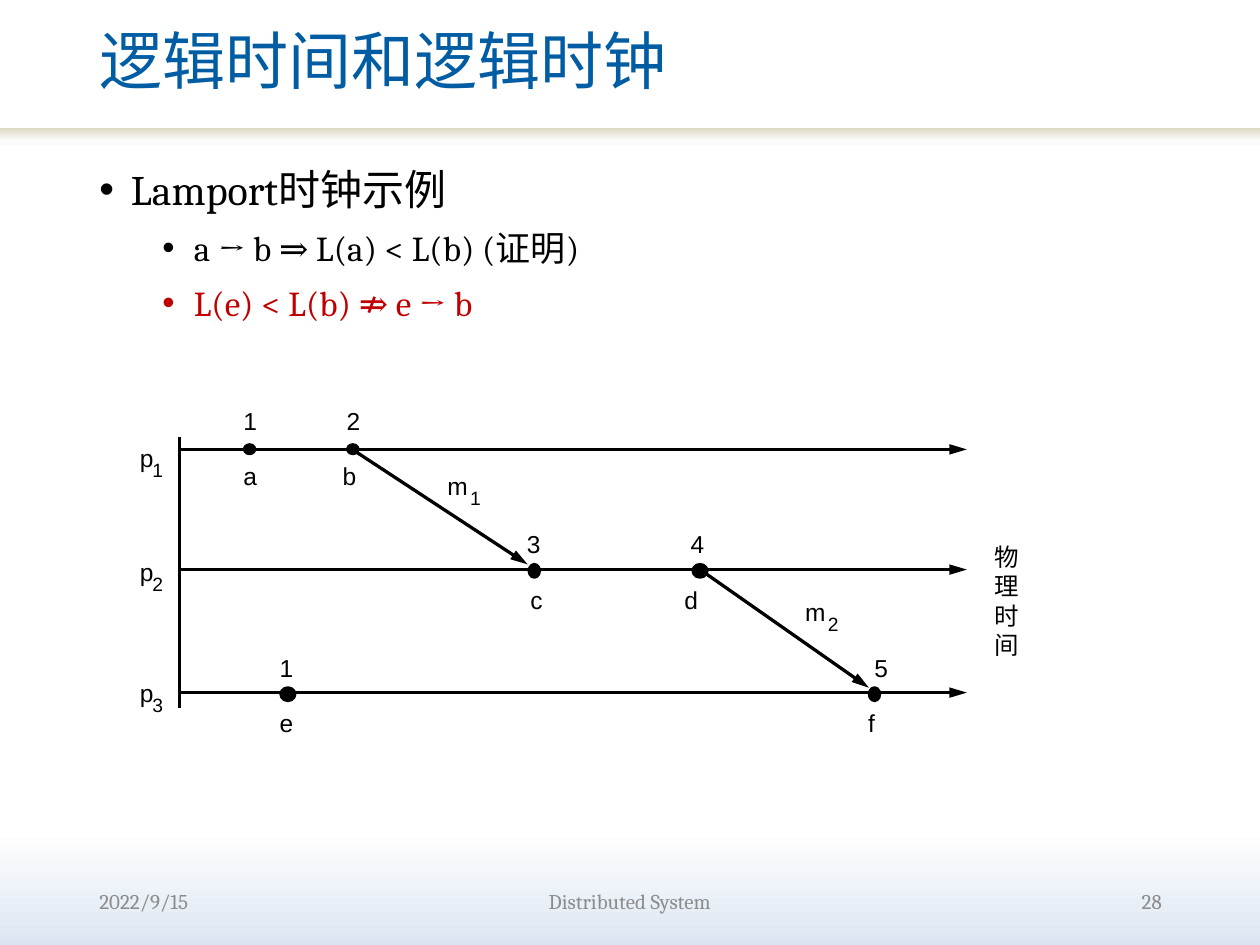
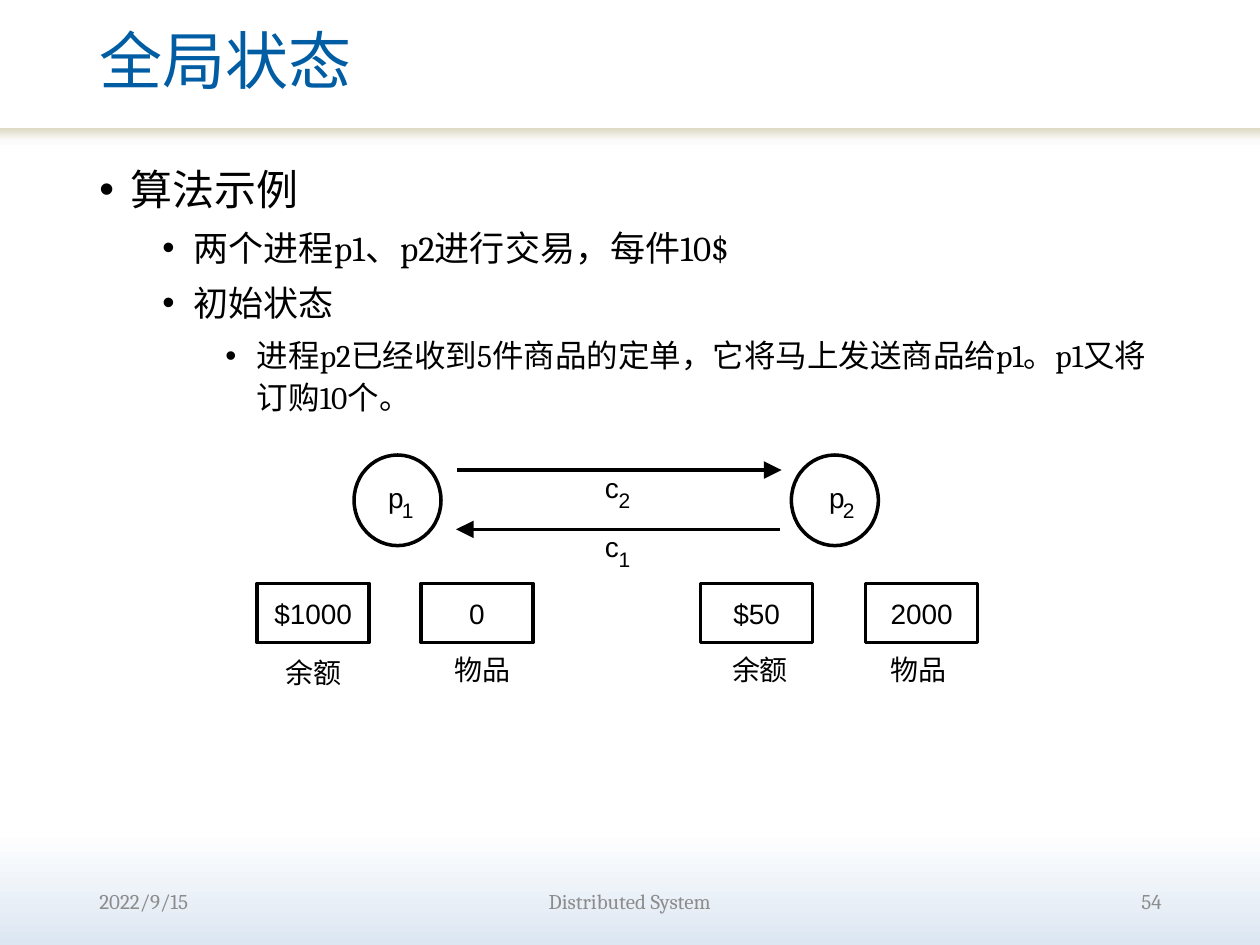
"""Builds two slides on logical clocks and global state in distributed systems."""
from copy import deepcopy

from lxml import etree
from pptx import Presentation
from pptx.dml.color import RGBColor
from pptx.enum.shapes import MSO_CONNECTOR, MSO_SHAPE
from pptx.enum.text import MSO_ANCHOR, PP_ALIGN
from pptx.oxml.ns import qn
from pptx.util import Pt

LINE = MSO_CONNECTOR.STRAIGHT
RECT, OVAL = MSO_SHAPE.RECTANGLE, MSO_SHAPE.OVAL
TOP, MIDDLE = MSO_ANCHOR.TOP, MSO_ANCHOR.MIDDLE
LEFT, CENTER, RIGHT = PP_ALIGN.LEFT, PP_ALIGN.CENTER, PP_ALIGN.RIGHT

SERIF, SANS = "Cambria", "Arial"
BLACK, WHITE, BLUE, RED, GREY = "000000", "FFFFFF", "005DA3", "C00000", "8C8C8C"
BACKGROUND = [(0, WHITE), (0.88, WHITE), (1, "DCE6F2")]
BAND = [(0, WHITE), (0.45, "FBFBFB"), (1, "DDD9C3")]
MARGIN = 49.7
BULLET_SIZES = [24, 20, 18]

CLOCK_SLIDE = {
    "title": "逻辑时间和逻辑时钟",
    "number": "28",
    "body": [
        (0, "Lamport时钟示例", BLACK),
        (1, "a → b ⇒ L(a) < L(b) (证明)", BLACK),
        (1, "L(e) < L(b) ⇏ e → b", RED),
    ],
}
STATE_SLIDE = {
    "title": "全局状态",
    "number": "54",
    "body": [
        (0, "算法示例", BLACK),
        (1, "两个进程p1、p2进行交易，每件10$", BLACK),
        (1, "初始状态", BLACK),
        (2, "进程p2已经收到5件商品的定单，它将马上发送商品给p1。p1又将订购10个。", BLACK),
    ],
}

# process: line y, label y, dot centre y, dot height, clock y, name y
PROCESSES = {
    "1": (256.8, 253.4, 256.7, 5, 231.8, 263.5),
    "2": (325.5, 318.2, 326.2, 7.2, 302.4, 334.1),
    "3": (395.8, 387.4, 396.7, 7.2, 373, 404.6),
}
# event, clock, process, dot centre x, dot width, name x, clock x
EVENTS = [
    ("a", "1", "1", 142.6, 5.8, 139, 139),
    ("b", "2", "1", 201.6, 5.8, 195.8, 198),
    ("c", "3", "2", 305.3, 5.8, 303.1, 301),
    ("d", "4", "2", 400, 7.9, 391, 394.6),
    ("e", "1", "3", 164.5, 7.9, 159.8, 159.8),
    ("f", "5", "3", 499.7, 5.8, 496.1, 499.7),
]
# message, start, end, label position
MESSAGES = [
    ("1", (201.6, 257), (301.5, 322.5), (255.6, 269.3)),
    ("2", (402.5, 327.2), (496.5, 393), (460.1, 341.3)),
]
AXIS_X, AXIS_TOP, AXIS_BOTTOM, ARROW_X = 102.4, 249.8, 404.6, 552.5

# process: circle left, label left
PARTIES = {"1": (202.3, 221.8), "2": (452.2, 473.8)}
# channel: y, start x, end x
CHANNELS = {"2": (268.6, 261.4, 446.6), "1": (302.5, 445.7, 260.6)}
# value, caption, box left, caption left, caption top
HOLDINGS = [
    ("$1000", "余额", 146.9, 163.4, 374.4),
    ("0", "物品", 240.5, 259.9, 373),
    ("$50", "余额", 400.3, 418.3, 373),
    ("2000", "物品", 494.6, 509, 373),
]


def rgb(color):
    return RGBColor.from_string(color)


def style(p, size, font, color):
    for r in p.runs:
        r.font.size, r.font.name = Pt(size), font
        r.font.color.rgb = rgb(color)


def set_gradient(fill, element, stops, angle):
    fill.gradient()
    fill.gradient_angle = angle
    gs_list = next(element.iter(qn("a:gsLst")))
    gs_list.append(deepcopy(gs_list[-1]))
    for stop, (position, color) in zip(fill.gradient_stops, stops):
        stop.position = position
        stop.color.rgb = rgb(color)


def add_box(s, x, y, w, h, anchor=TOP):
    tf = s.shapes.add_textbox(Pt(x), Pt(y), Pt(w), Pt(h)).text_frame
    tf.word_wrap = True
    tf.vertical_anchor = anchor
    return tf


def no_insets(tf):
    tf.margin_left = tf.margin_right = tf.margin_top = tf.margin_bottom = 0


def add_label(s, text, x, y, size):
    width = sum(size if ord(c) > 255 else size * 0.56 for c in text)
    tf = add_box(s, x, y, width, size * 1.2)
    tf.word_wrap = False
    no_insets(tf)
    tf.text = text
    style(tf.paragraphs[0], size, SANS, BLACK)


def add_indexed(s, base, index, x, y, sizes, shift):
    add_label(s, base, x, y, sizes[0])
    add_label(s, index, x + shift[0], y + shift[1], sizes[1])


def add_shape(s, kind, x, y, w, h, fill=None, weight=None):
    sp = s.shapes.add_shape(kind, Pt(x), Pt(y), Pt(w), Pt(h))
    sp.shadow.inherit = False
    if fill:
        sp.fill.solid()
        sp.fill.fore_color.rgb = rgb(fill)
    else:
        sp.fill.background()
    if weight:
        sp.line.color.rgb = rgb(BLACK)
        sp.line.width = Pt(weight)
    else:
        sp.line.fill.background()
    return sp


def add_line(s, start, end, weight, head_width=None):
    c = s.shapes.add_connector(LINE, *(Pt(v) for v in (*start, *end)))
    c.line.color.rgb = rgb(BLACK)
    c.line.width = Pt(weight)
    if head_width:
        etree.SubElement(c.line._get_or_add_ln(), qn("a:tailEnd"),
                         type="triangle", w=head_width, len="lg")
    etree.SubElement(c._element.spPr, qn("a:effectLst"))


def add_body(s, items):
    tf = add_box(s, MARGIN, 87.1, 620.6, 399.6)
    for i, (level, text, color) in enumerate(items):
        p = tf.paragraphs[0] if i == 0 else tf.add_paragraph()
        p.text, p.level, p.line_spacing = text, level, 1.1
        if i:
            p.space_before = Pt(5)
        pPr = p._p.get_or_add_pPr()
        pPr.set("marL", str(Pt(18 + 36 * level)))
        pPr.set("indent", str(Pt(-18)))
        etree.SubElement(pPr, qn("a:buFont"), typeface=SANS)
        etree.SubElement(pPr, qn("a:buChar"), char="•")
        style(p, BULLET_SIZES[level], SERIF, color)


def add_page(prs, content):
    s = prs.slides.add_slide(prs.slide_layouts[6])
    set_gradient(s.background.fill, s._element, BACKGROUND, 270)
    band = add_shape(s, RECT, 0, 73.4, 720, 12.2)
    set_gradient(band.fill, band._element, BAND, 90)
    tf = add_box(s, MARGIN, 0, 597.6, 73.4, MIDDLE)
    tf.text = content["title"]
    tf.paragraphs[0].line_spacing = 0.9
    style(tf.paragraphs[0], 36, SERIF, BLUE)
    add_body(s, content["body"])
    footers = [("2022/9/15", MARGIN, 149.8, LEFT),
               ("Distributed System", 198.9, 322, CENTER),
               (content["number"], 521.1, 149.8, RIGHT)]
    for text, x, w, align in footers:
        tf = add_box(s, x, 500.4, w, 28.8, MIDDLE)
        tf.text = text
        tf.paragraphs[0].alignment = align
        style(tf.paragraphs[0], 12, SERIF, GREY)
    return s


def draw_clocks(s):
    weight, sizes = 1.88, (14, 11)
    for index, (line_y, label_y, *_) in PROCESSES.items():
        add_line(s, (AXIS_X, line_y), (ARROW_X, line_y), weight, "med")
        add_indexed(s, "p", index, 79.9, label_y, sizes, (7.2, 8.6))
    add_line(s, (AXIS_X, AXIS_TOP), (AXIS_X, AXIS_BOTTOM), weight)
    for name, clock, process, x, w, name_x, clock_x in EVENTS:
        _, _, y, h, clock_y, name_y = PROCESSES[process]
        add_shape(s, OVAL, x - w / 2, y - h / 2, w, h, BLACK, weight)
        add_label(s, name, name_x, name_y, 14)
        add_label(s, clock, clock_x, clock_y, 14)
    for index, start, end, label in MESSAGES:
        add_line(s, start, end, weight, "med")
        add_indexed(s, "m", index, *label, sizes, (13, 8.6))
    tf = add_box(s, 568.1, 309.6, 20, 68)
    no_insets(tf)
    tf.text = "物理\n时间"
    for p in tf.paragraphs:
        style(p, 14, SANS, BLACK)


def draw_state(s):
    weight, sizes, shift = 2, (16, 12), (7.9, 10.1)
    for index, (x, label_x) in PARTIES.items():
        add_shape(s, OVAL, x, 260, 49.7, 51.8, weight=weight)
        add_indexed(s, "p", index, label_x, 274.3, sizes, shift)
    for index, (y, start_x, end_x) in CHANNELS.items():
        add_line(s, (start_x, y), (end_x, y), weight, "lg")
        add_indexed(s, "c", index, 345.6, y, sizes, shift)
    for value, caption, x, caption_x, caption_y in HOLDINGS:
        sp = add_shape(s, RECT, x, 333.4, 64.1, 33.8, WHITE, weight)
        tf = sp.text_frame
        no_insets(tf)
        tf.vertical_anchor = MIDDLE
        tf.text = value
        tf.paragraphs[0].alignment = CENTER
        style(tf.paragraphs[0], 16, SANS, BLACK)
        add_label(s, caption, caption_x, caption_y, 16)


def main():
    prs = Presentation()
    prs.slide_width, prs.slide_height = Pt(720), Pt(540)
    draw_clocks(add_page(prs, CLOCK_SLIDE))
    draw_state(add_page(prs, STATE_SLIDE))
    prs.save("out.pptx")


if __name__ == "__main__":
    main()
